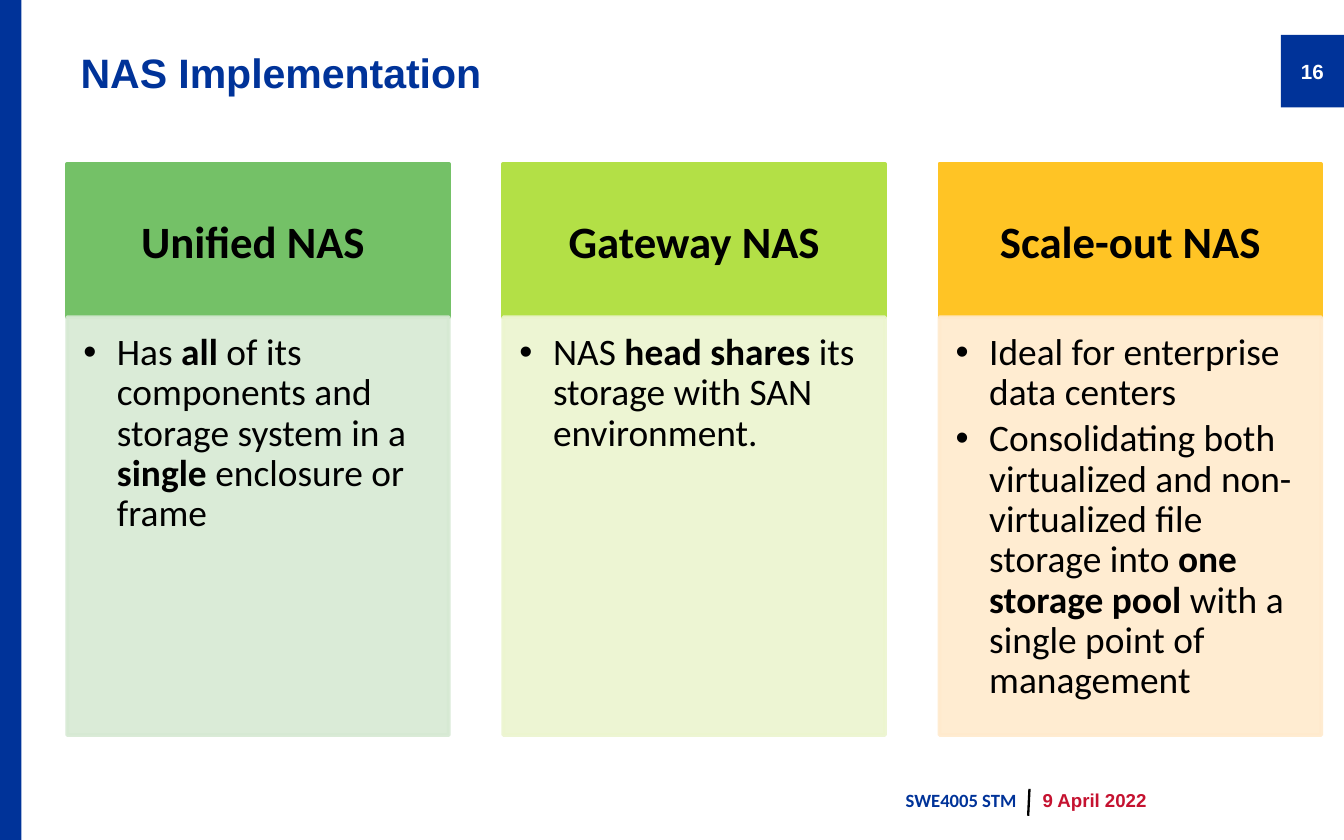
from dataclasses import dataclass

from lxml import etree
from pptx import Presentation
from pptx import util as u
from pptx.dml.color import RGBColor
from pptx.enum import shapes, text
from pptx.oxml.ns import qn

Inches = u.Inches


@dataclass(frozen=True)
class Theme:
    """Colours, fonts and type sizes of the deck."""
    blue: str = "003399"
    red: str = "C51230"
    black: str = "000000"
    white: str = "FFFFFF"
    sans: str = "Arial"
    text_face: str = "Calibri"
    title: int = 22
    heading: int = 24
    body: int = 20
    footer: int = 10
    number: int = 11


THEME = Theme()
COLUMNS = [
    ("Unified NAS ", "74C167", "D6E9D3",
     ["Has *all* of its components and storage system in a *single* enclosure or frame"]),
    ("Gateway NAS", "B3E046", "ECF5CF",
     ["NAS *head shares* its storage with SAN environment."]),
    ("Scale-out NAS", "FFC425", "FFEACD",
     ["Ideal for enterprise data centers",
      "Consolidating both virtualized and non-virtualized file storage into "
      "*one storage pool* with a single point of management"]),
]


def place(shape, box):
    """Move a shape to a box of left, top, width and height in inches."""
    shape.left, shape.top, shape.width, shape.height = map(Inches, box)


def set_frame(shape, anchor, insets=(0.1, 0.05, 0.1, 0.05)):
    """Set wrapping, anchor and insets, and return the text frame."""
    frame = shape.text_frame
    frame.word_wrap = True
    frame.auto_size = text.MSO_AUTO_SIZE.NONE
    frame.vertical_anchor = anchor
    (frame.margin_left, frame.margin_top,
     frame.margin_right, frame.margin_bottom) = map(Inches, insets)
    return frame


def set_font(para, face, size, color, bold=None):
    """Set the font that all runs of a paragraph share."""
    font = para.font
    font.name, font.size, font.bold = face, u.Pt(size), bold
    font.color.rgb = RGBColor.from_string(color)


def write_line(shape, words, face, size, color, align, insets=(0.1, 0.05, 0.1, 0.05)):
    """Write one bold, vertically centred line in a shape."""
    para = set_frame(shape, text.MSO_ANCHOR.MIDDLE, insets).paragraphs[0]
    para.text = words
    para.alignment = align
    set_font(para, face, size, color, True)


def paint(shape, color, line_width=0, opacity=100):
    """Give a shape one colour for fill and outline."""
    shape.fill.solid()
    shape.fill.fore_color.rgb = RGBColor.from_string(color)
    if line_width:
        shape.line.width = u.Pt(line_width)
        shape.line.color.rgb = RGBColor.from_string(color)
    else:
        shape.line.fill.background()
    if opacity < 100:
        for tint in shape.element.spPr.iter(qn("a:srgbClr")):
            etree.SubElement(tint, qn("a:alpha"), val=str(opacity * 1000))


def add_block(page, box, color, line_width=0):
    """Add a flat rectangle."""
    block = page.shapes.add_shape(shapes.MSO_SHAPE.RECTANGLE, *map(Inches, box))
    block.shadow.inherit = False
    paint(block, color, line_width)
    return block


def add_bullet(para, words):
    """Write a bullet whose starred parts are bold."""
    props = para._p.get_or_add_pPr()
    props.set("marL", str(Inches(0.25)))
    props.set("indent", str(Inches(-0.25)))
    para.alignment = text.PP_ALIGN.LEFT
    para.line_spacing = 0.9
    para.space_before, para.space_after = u.Pt(0), u.Pt(3)
    etree.SubElement(props, qn("a:buFont"), typeface=THEME.sans)
    etree.SubElement(props, qn("a:buChar"), char="•")
    set_font(para, THEME.text_face, THEME.body, THEME.black)
    for index, part in enumerate(words.split("*")):
        if part:
            span = para.add_run()
            span.text = part
            span.font.bold = index % 2 == 1


def build_header(page, box):
    """Place the side bar, the title and the page number tab."""
    left, top, width, height = box
    add_block(page, (0, 0, 0.16, 6.25), THEME.blue)
    tab = add_block(page, (left + width, top + 0.01, 0.47, 0.54), THEME.blue)
    write_line(tab, "16", THEME.sans, THEME.number, THEME.white, text.PP_ALIGN.CENTER)
    title = page.shapes.title
    place(title, box)
    paint(title, THEME.white)
    write_line(title, "NAS Implementation", THEME.sans, THEME.title, THEME.blue,
               text.PP_ALIGN.LEFT)


def build_column(page, holder, box, column):
    """Place one heading block with its list below."""
    left, top, width, height = box
    heading, strong, pale, items = column
    head_height = 1.14
    head = add_block(page, (left, top, width, head_height), strong, 2)
    write_line(head, heading, THEME.text_face, THEME.heading, THEME.black,
               text.PP_ALIGN.CENTER, (0.19, 0.11, 0.19, 0.11))
    place(holder, (left, top + head_height, width, height - head_height))
    paint(holder, pale, 2, 90)
    head.element.addnext(holder.element)
    frame = set_frame(holder, text.MSO_ANCHOR.TOP, (0.12, 0.12, 0.16, 0.17))
    for index, words in enumerate(items):
        add_bullet(frame.add_paragraph() if index else frame.paragraphs[0], words)


def build_columns(page, box):
    """Spread the columns evenly and drop unused placeholders."""
    left, top, width, height = box
    column_width = 2.84
    step = (width - column_width) / (len(COLUMNS) - 1)
    holders = [item for item in page.placeholders if item.placeholder_format.idx]
    for index, column in enumerate(COLUMNS):
        build_column(page, holders[index],
                     (left + index * step, top, column_width, height), column)
    for holder in holders[len(COLUMNS):]:
        holder.element.getparent().remove(holder.element)


def build_footer(page, box):
    """Place the course code and the date on both sides of a rule."""
    left, top, width, height = box
    middle = 7.66
    sides = [
        (left, middle - left, "SWE4005 STM", THEME.text_face, THEME.blue, text.PP_ALIGN.RIGHT),
        (middle, left + width - middle, "9 April 2022", THEME.sans, THEME.red,
         text.PP_ALIGN.LEFT),
    ]
    for start, span, words, face, color, align in sides:
        label = page.shapes.add_textbox(*map(Inches, (start, top, span, height)))
        write_line(label, words, face, THEME.footer, color, align)
    rule = page.shapes.add_connector(
        shapes.MSO_CONNECTOR.STRAIGHT,
        *map(Inches, (middle, top + 0.08, middle - 0.01, top + 0.28)))
    rule.line.width = u.Pt(1.25)
    rule.line.color.rgb = RGBColor.from_string(THEME.black)
    etree.SubElement(rule.element.spPr, qn("a:effectLst"))


def main():
    """Build the deck and save it."""
    deck = Presentation()
    deck.slide_width, deck.slide_height = Inches(10), Inches(6.25)
    page = deck.slides.add_slide(deck.slide_layouts.get_by_name("Comparison"))
    build_header(page, (0.5, 0.25, 9.03, 0.57))
    build_columns(page, (0.5, 1.22, 9.33, 4.25))
    build_footer(page, (4.49, 5.79, 5, 0.33))
    deck.save("out.pptx")


if __name__ == "__main__":
    main()
